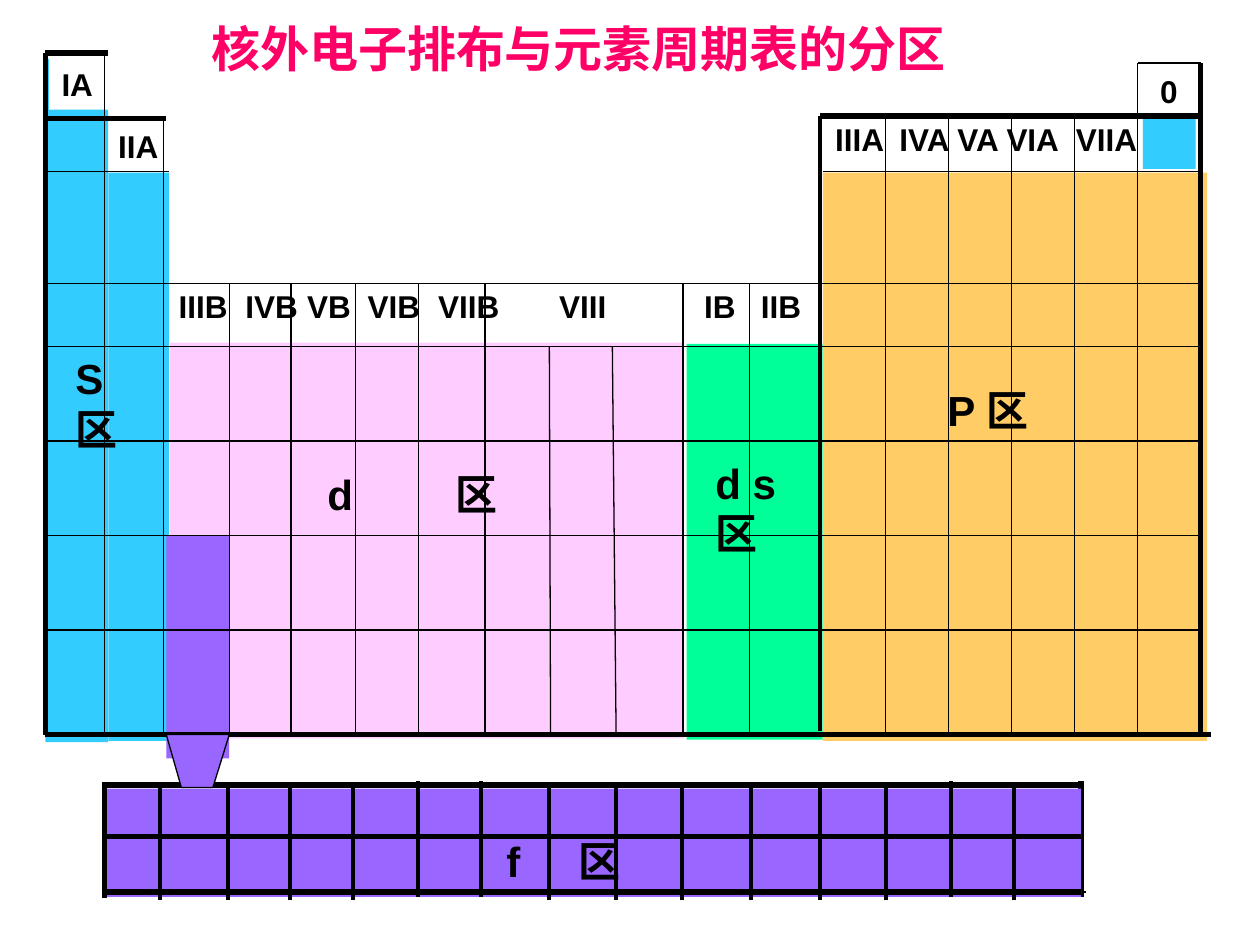
from lxml.etree import SubElement
from pptx import Presentation
from pptx.dml.color import RGBColor
from pptx.enum.shapes import MSO_CONNECTOR, MSO_SHAPE
from pptx.enum.text import MSO_ANCHOR, MSO_AUTO_SIZE, PP_ALIGN
from pptx.oxml.ns import qn
from pptx.util import Inches, Pt

BLACK, WHITE = "000000", "FFFFFF"
S_BLUE, D_PINK, DS_GREEN, P_ORANGE, F_PURPLE = (
    "33CCFF", "FFCCFF", "00FF99", "FFCC66", "9966FF")
THIN, MEDIUM, THICK = 0.75, 2.25, 3
GROUP_SIZE, ZONE_SIZE, TITLE_SIZE = 18, 24, 28


def rgb(value):
    return RGBColor.from_string(value)


class PeriodicSlide:
    """Holds the text style and the slide being drawn."""

    font = {"name": "Arial", "bold": True}
    frame = {"word_wrap": True, "auto_size": MSO_AUTO_SIZE.SHAPE_TO_FIT_TEXT,
             "vertical_anchor": MSO_ANCHOR.TOP}

    def __init__(self, prs):
        self.s = prs.slides.add_slide(prs.slide_layouts[6])

    def rect(self, x, y, w, h, color):
        sp = self.s.shapes.add_shape(
            MSO_SHAPE.RECTANGLE, *map(Inches, (x, y, w, h)))
        self.paint(sp, color)
        sp.line.fill.background()
        return sp

    def paint(self, sp, color):
        sp.shadow.inherit = False
        sp.fill.solid()
        sp.fill.fore_color.rgb = rgb(color)

    def stroke(self, sp, width):
        sp.line.color.rgb = rgb(BLACK)
        sp.line.width = Pt(width)

    def line(self, x1, y1, x2, y2, width=THIN):
        c = self.s.shapes.add_connector(
            MSO_CONNECTOR.STRAIGHT, *map(Inches, (x1, y1, x2, y2)))
        self.stroke(c, width)
        SubElement(c._element.spPr, qn("a:effectLst"))

    def polygon(self, points, color):
        points = [(Inches(x), Inches(y)) for x, y in points]
        fb = self.s.shapes.build_freeform(*points[0])
        fb.add_line_segments(points[1:], close=True)
        sp = fb.convert_to_shape()
        self.paint(sp, color)
        self.stroke(sp, THIN)

    def text(self, x, y, w, h, words, size, color=BLACK, tabs=()):
        sp = self.s.shapes.add_textbox(*map(Inches, (x, y, w, h)))
        self.label(sp, words, size, color, tabs)

    def label(self, sp, words, size, color=BLACK, tabs=()):
        """Fill a shape with one left-aligned line; tabs are in inches."""
        tf = sp.text_frame
        for key, value in self.frame.items():
            setattr(tf, key, value)
        p = tf.paragraphs[0]
        p.alignment = PP_ALIGN.LEFT
        if tabs:
            stops = SubElement(p._p.get_or_add_pPr(), qn("a:tabLst"))
            for pos in tabs:
                SubElement(stops, qn("a:tab"), pos=str(Inches(pos)), algn="l")
        r = p.add_run()
        r.text = words
        for key, value in {**self.font, "size": Pt(size)}.items():
            setattr(r.font, key, value)
        r.font.color.rgb = rgb(color)


def draw_zones(page):
    for zone in [
        (0.36, 0.47, 0.5, 5.42, S_BLUE),
        (0.86, 1.37, 0.48, 4.51, S_BLUE),
        (1.35, 2.72, 4.08, 3.14, D_PINK),
        (5.45, 2.73, 1.08, 3.14, DS_GREEN),
        (6.53, 1.37, 3.05, 4.51, P_ORANGE),
        (1.32, 4.25, 0.5, 1.77, F_PURPLE),
        (9.07, 0.94, 0.42, 0.4, S_BLUE),
    ]:
        page.rect(*zone)
    page.label(page.rect(0.39, 0.47, 0.5, 0.4, WHITE), "IA", GROUP_SIZE)


def draw_main_grid(page):
    bottom, left, right = 5.83, 0.36, 9.53
    columns = {0.42: [0.83], 0.94: [1.3], 0.5: [9.03],
               0.92: [7.03 + 0.5 * i for i in range(4)],
               2.25: [1.82, 2.31, 2.82, 3.32, 3.85, 5.42, 5.95]}
    for top, xs in columns.items():
        for x in xs:
            page.line(x, top, x, bottom)
    page.line(4.36, 2.75, 4.37, bottom)
    page.line(4.86, 2.75, 4.89, bottom)
    for y in (2.25, 2.75, 3.5, 4.25, 5):
        page.line(0.34, y, right, y)
    page.line(0.34, 1.36, 1.34, 1.36)
    page.line(6.53, 1.36, right, 1.36)
    page.line(9.03, 0.5, right, 0.5)

    page.line(left, bottom, 9.61, bottom, THICK)
    page.line(left, 0.42, left, bottom, THICK)
    page.line(left, 0.42, 0.86, 0.42, THICK)
    page.line(0.34, 0.94, 0.84, 0.94, THICK)
    page.line(0.82, 0.94, 1.32, 0.94, THICK)
    page.line(6.51, 0.92, 6.51, 5.8, MEDIUM)
    page.line(6.51, 0.92, 9.51, 0.92, THICK)
    page.line(right, 0.5, right, bottom, THICK)


def draw_f_block(page):
    left, right, height = 0.83, 8.58, 0.92
    page.line(left, 6.23, right, 6.23, THICK)
    page.line(left, 6.61, right, 6.61)
    page.line(0.87, 7.08, 8.62, 7.08)
    page.line(right, 6.2, right, 6.2 + height, THICK)
    page.rect(left, 6.26, right - left, 0.86, F_PURPLE)
    for y in (6.64, 7.08):
        page.line(left, y, right, y, THICK)
    page.line(left, 6.21, left, 6.21 + height, THICK)
    columns = {6.22: [1.27, 1.81, 2.3, 2.8, 4.36, 4.89, 5.41, 5.96,
                      6.51, 7.03, 8.05],
               6.2: [3.32, 3.82, 7.55]}
    for top, xs in columns.items():
        for x in xs:
            page.line(x, top, x, top + height, MEDIUM)
    page.polygon([(1.32, 5.83), (1.44, 6.25), (1.69, 6.25), (1.82, 5.83)],
                 F_PURPLE)


def draw_labels(page):
    page.text(0.84, 0.96, 0.67, 0.4, "IIA", GROUP_SIZE)
    page.text(9.11, 0.52, 0.58, 0.4, "0", GROUP_SIZE)
    page.text(6.53, 0.9, 2.75, 0.4, "IIIA\tIVA\tVA\tVIA\tVIIA", GROUP_SIZE,
              tabs=(0.51, 0.97, 1.36, 1.91))
    page.text(1.32, 2.23, 5.17, 0.4,
              "IIIB\tIVB\tVB\tVIB\tVIIB\tVIII\tIB\tIIB", GROUP_SIZE,
              tabs=(0.53, 1.02, 1.5, 2.06, 3.02, 4.17, 4.62))
    page.text(0.5, 2.75, 0.75, 0.9, "S区", ZONE_SIZE)
    page.text(2.5, 3.67, 1.75, 0.5, "d\t区", ZONE_SIZE, tabs=(1.02,))
    page.text(5.58, 3.58, 0.75, 0.9, "d s区", ZONE_SIZE)
    page.text(7.42, 3, 1, 0.5, "P 区", ZONE_SIZE)
    page.text(3.92, 6.58, 1.75, 0.5, "f\t区", ZONE_SIZE, tabs=(0.57,))
    page.text(1.58, 0.1, 7.17, 0.57, "核外电子排布与元素周期表的分区",
              TITLE_SIZE, "FF0066")


def main():
    prs = Presentation()
    prs.slide_width, prs.slide_height = Inches(10), Inches(7.5)
    page = PeriodicSlide(prs)
    for draw in (draw_zones, draw_main_grid, draw_f_block, draw_labels):
        draw(page)
    prs.save("out.pptx")


if __name__ == "__main__":
    main()
